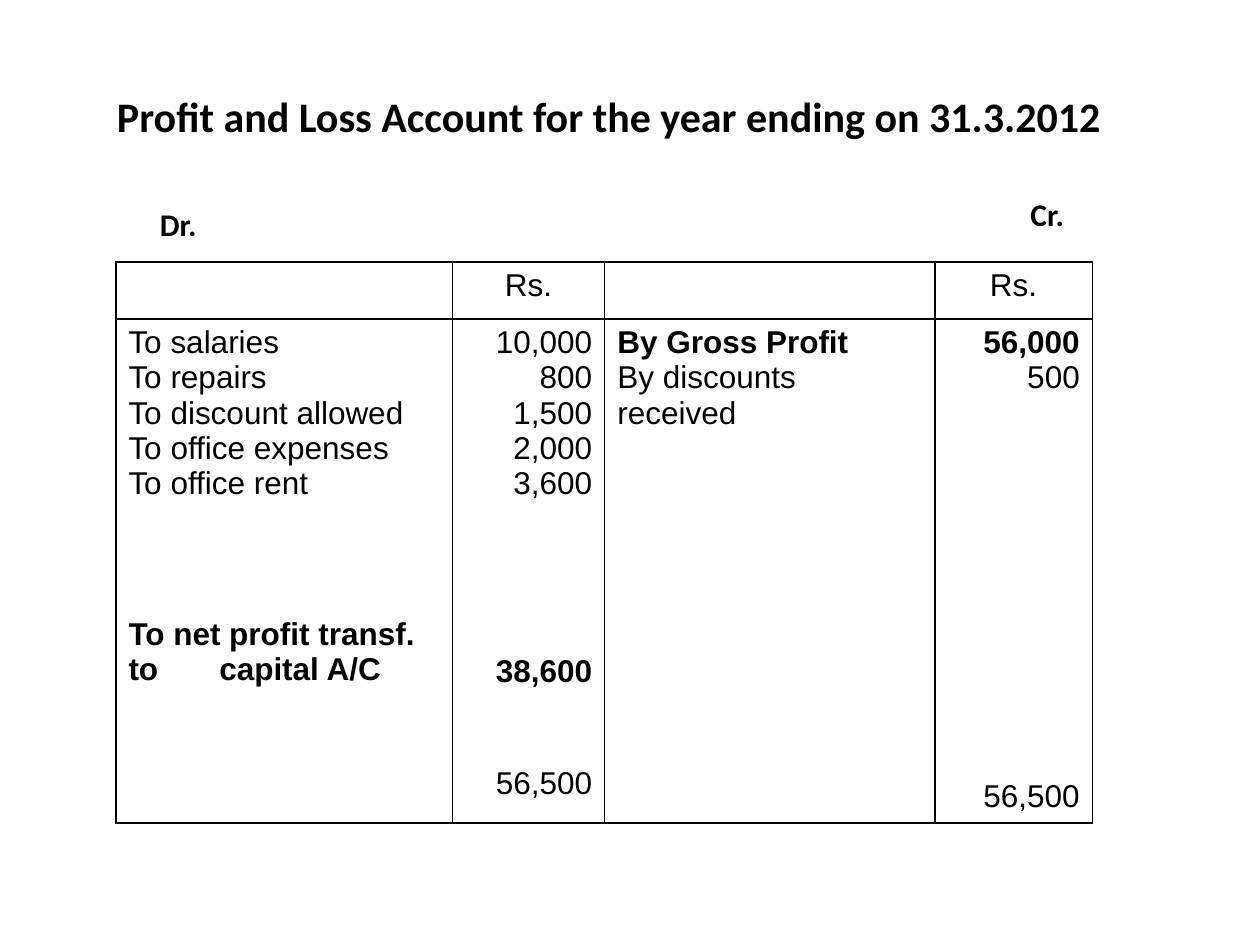
from lxml.etree import SubElement
from pptx import Presentation
from pptx.dml.color import RGBColor
from pptx.enum.text import MSO_AUTO_SIZE, PP_ALIGN
from pptx.oxml.ns import qn
from pptx.util import Inches, Pt

COLORS = {"ink": "000000"}
COLUMN_WIDTHS = (2.67, 1.21, 2.62, 1.25)
ROW_HEIGHTS = (0.45, 4.0)

# Each entry: text, bold, space before in points
DEBIT_ITEMS = [
    ("To salaries", False, 0),
    ("To repairs", False, 0),
    ("To discount allowed", False, 0),
    ("To office expenses", False, 0),
    ("To office rent", False, 0),
    ("To net profit transf. to\tcapital A/C", True, 66),
]
DEBIT_AMOUNTS = [
    ("10,000", False, 0),
    ("800", False, 0),
    ("1,500", False, 0),
    ("2,000", False, 0),
    ("3,600", False, 0),
    ("38,600", True, 87),
    ("56,500", False, 44),
]
CREDIT_ITEMS = [("By Gross Profit", True, 0), ("By discounts received", False, 0)]
CREDIT_AMOUNTS = [("56,000", True, 0), ("500", False, 0), ("56,500", False, 219)]
CURRENCY = [("Rs.", False, 0)]


def style_paragraph(paragraph, font_name, size, bold):
    font = paragraph.font
    font.name, font.size, font.bold = font_name, Pt(size), bold
    font.color.rgb = RGBColor.from_string(COLORS["ink"])


def add_label(slide, text, left, top, width, height, size):
    shape = slide.shapes.add_textbox(
        Inches(left), Inches(top), Inches(width), Inches(height))
    frame = shape.text_frame
    frame.word_wrap = False
    frame.auto_size = MSO_AUTO_SIZE.SHAPE_TO_FIT_TEXT
    paragraph = frame.paragraphs[0]
    paragraph.text = text
    style_paragraph(paragraph, "Calibri", size, True)


def add_tab_stop(paragraph, position):
    properties = paragraph._p.get_or_add_pPr()
    tab_list = SubElement(properties, qn("a:tabLst"))
    properties.insert(0, tab_list)
    # Spacing comes before tab stops in the schema
    for spacing in properties.findall(qn("a:spcBef")):
        properties.insert(0, spacing)
    SubElement(tab_list, qn("a:tab"), pos=str(Inches(position)), algn="l")


def fill_cell(cell, entries, alignment):
    frame = cell.text_frame
    for index, (text, bold, space_before) in enumerate(entries):
        paragraph = frame.add_paragraph() if index else frame.paragraphs[0]
        paragraph.text = text
        paragraph.alignment = alignment
        paragraph.space_before = Pt(space_before)
        style_paragraph(paragraph, "Arial", 18, bold)
        if "\t" in text:
            add_tab_stop(paragraph, 0.72)


def outline_cell(cell):
    properties = cell._tc.get_or_add_tcPr()
    for side in ("lnL", "lnR", "lnT", "lnB"):
        line = SubElement(properties, qn(f"a:{side}"), w=str(Pt(1)))
        solid_fill = SubElement(line, qn("a:solidFill"))
        SubElement(solid_fill, qn("a:srgbClr"), val=COLORS["ink"])
    cell.fill.background()


def add_account_table(slide):
    table = slide.shapes.add_table(
        len(ROW_HEIGHTS), len(COLUMN_WIDTHS), Inches(0.92), Inches(2.08),
        Inches(sum(COLUMN_WIDTHS)), Inches(sum(ROW_HEIGHTS))).table
    table.first_row = table.horz_banding = False
    for column, width in zip(table.columns, COLUMN_WIDTHS):
        column.width = Inches(width)
    for row, height in zip(table.rows, ROW_HEIGHTS):
        row.height = Inches(height)
    for cell in table.iter_cells():
        outline_cell(cell)

    # Header row
    for column_index in (1, 3):
        fill_cell(table.cell(0, column_index), CURRENCY, PP_ALIGN.CENTER)

    # Account entries
    entries = (DEBIT_ITEMS, DEBIT_AMOUNTS, CREDIT_ITEMS, CREDIT_AMOUNTS)
    for column_index, column_entries in enumerate(entries):
        alignment = PP_ALIGN.RIGHT if column_index % 2 else PP_ALIGN.LEFT
        fill_cell(table.cell(1, column_index), column_entries, alignment)


def main():
    presentation = Presentation()
    presentation.slide_width = Inches(10)
    presentation.slide_height = Inches(7.5)
    slide = presentation.slides.add_slide(presentation.slide_layouts[6])

    add_account_table(slide)

    # Title and side labels
    add_label(slide, "Profit and Loss Account for the year ending on 31.3.2012",
              0.83, 0.67, 8.09, 0.51, 24)
    add_label(slide, "Cr.", 8.08, 1.5, 0.47, 0.4, 18)
    add_label(slide, "Dr.", 1.17, 1.58, 0.49, 0.4, 18)

    presentation.save("out.pptx")


main()
